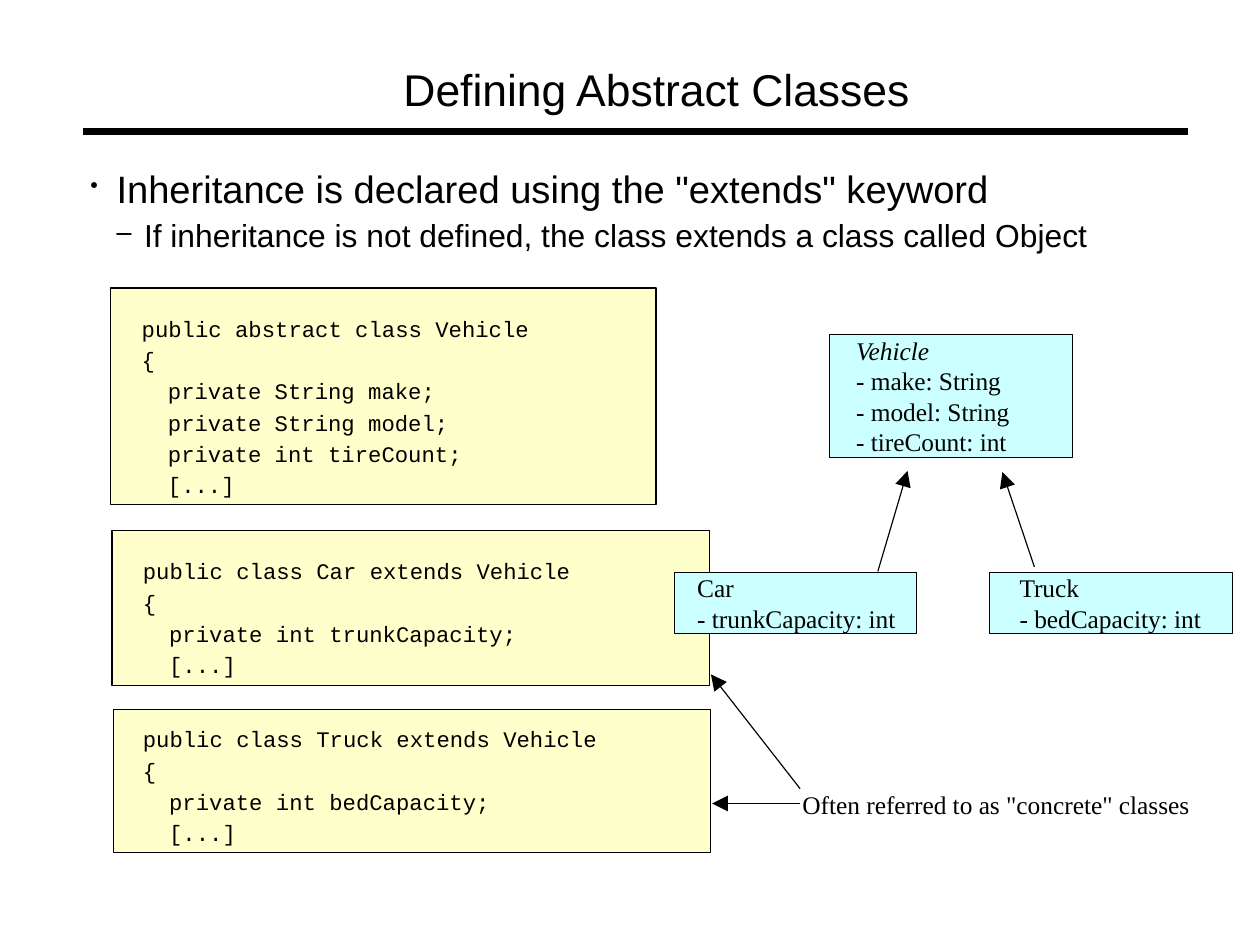
from dataclasses import dataclass

from lxml.etree import SubElement
from pptx import Presentation
from pptx.dml.color import RGBColor as RGB
from pptx.enum.shapes import MSO_CONNECTOR as CONN, MSO_SHAPE as SHAPE
from pptx.enum.text import MSO_ANCHOR as ANCHOR, PP_ALIGN as ALIGN
from pptx.oxml.ns import qn
from pptx.util import Inches, Pt

COLORS = {"ink": "000000", "code": "FFFFCC", "uml": "CCFFFF"}
SANS, MONO, SERIF = "Arial", "Courier New", "Times New Roman"
CM_PER_INCH = 2.54


@dataclass
class CodeBox:
    """A panel with a Java listing."""
    left: float
    top: float
    width: float
    height: float
    text_left: float
    text_top: float
    text_width: float
    lines: list[str]


@dataclass
class ClassBox:
    """A class in the diagram."""
    left: float
    top: float
    height: float
    inset: float
    lines: list[str]
    abstract: bool = False


@dataclass
class Line:
    """A straight line, with or without an arrowhead."""
    start: tuple[float, float]
    end: tuple[float, float]
    width: float = 0.75
    arrow: bool = True


@dataclass
class Bullet:
    """A bulleted sentence."""
    text: str
    mark: str
    percent: int
    size: int
    level: int
    margin: float
    hanging: float


CODE_BOXES = [
    CodeBox(0.97, 2.52, 4.77, 1.89, 1.24, 2.76, 3.84,
            ["public abstract class Vehicle", "{", "\tprivate String make;",
             "\tprivate String model;", "\tprivate int tireCount;", "\t[...]"]),
    CodeBox(0.98, 4.64, 5.23, 1.36, 1.25, 4.88, 4.41,
            ["public class Car extends Vehicle", "{",
             "\tprivate int trunkCapacity;", "\t[...]"]),
    CodeBox(0.99, 6.21, 5.23, 1.25, 1.25, 6.35, 4.41,
            ["public class Truck extends Vehicle", "{",
             "\tprivate int bedCapacity;", "\t[...]"]),
]
VEHICLE = ClassBox(7.26, 2.93, 1.07, 0.23,
                   ["Vehicle", "- make: String", "- model: String", "- tireCount: int"], True)
CAR = ClassBox(5.9, 5.01, 0.53, 0.2, ["Car", "- trunkCapacity: int"])
TRUCK = ClassBox(8.66, 5.01, 0.53, 0.26, ["Truck", "- bedCapacity: int"])
TITLE_RULE = Line((0.76, 1.15), (10.36, 1.15), 4.31, False)
ARROWS = [
    Line((7.68, 5), (7.94, 4.12)),
    Line((9.05, 4.96), (8.77, 4.13)),
    Line((7, 7.03), (6.23, 7.03)),
    Line((7, 6.9), (6.22, 5.9)),
]
BULLETS = [
    Bullet('Inheritance is declared using the "extends" keyword',
           "•", 59, 24, 0, 0.23, 0.23),
    Bullet("If inheritance is not defined, the class extends a class called Object",
           "–", 85, 20, 1, 0.47, 0.24),
]


def add_text(tf, text: str, *, font: str, size: float, italic: bool = False,
             first: bool = False, before: float = 0, margin: float = 0,
             hanging: float = 0, bullet: Bullet | None = None) -> None:
    """Add one formatted paragraph to a text frame."""
    p = tf.paragraphs[0] if first else tf.add_paragraph()
    pPr = p._p.get_or_add_pPr()
    if hanging:
        pPr.set("marL", str(Inches(margin)))
        pPr.set("indent", str(-Inches(hanging)))
    if bullet:
        p.level = bullet.level
        SubElement(SubElement(pPr, qn("a:buClr")), qn("a:srgbClr")).set("val", COLORS["ink"])
        SubElement(pPr, qn("a:buSzPct")).set("val", str(bullet.percent * 1000))
        SubElement(pPr, qn("a:buChar")).set("char", bullet.mark)
    p.alignment = ALIGN.LEFT
    if not first:
        p.space_before = Pt(before)
    r = p.add_run()
    r.text = text
    r.font.name, r.font.size, r.font.italic = font, Pt(size), italic
    r.font.color.rgb = RGB.from_string(COLORS["ink"])


def prepare_frame(sp, wrap: bool = True):
    """Clear the margins of a shape's text frame and return it."""
    tf = sp.text_frame
    tf.margin_left = tf.margin_top = tf.margin_right = tf.margin_bottom = 0
    tf.word_wrap = wrap
    return tf


def add_frame(s, left: float, top: float, width: float, height: float, wrap: bool = True):
    """Add a text box and return its text frame."""
    sp = s.shapes.add_textbox(Inches(left), Inches(top), Inches(width), Inches(height))
    return prepare_frame(sp, wrap)


def add_panel(s, left: float, top: float, width: float, height: float, fill: str):
    """Add a filled, outlined panel."""
    sp = s.shapes.add_shape(SHAPE.ROUNDED_RECTANGLE, Inches(left), Inches(top),
                            Inches(width), Inches(height))
    sp.adjustments[0] = 0
    sp.shadow.inherit = False
    sp.fill.solid()
    sp.fill.fore_color.rgb = RGB.from_string(COLORS[fill])
    sp.line.color.rgb = RGB.from_string(COLORS["ink"])
    sp.line.width = Pt(0.75)
    return sp


def add_code(s, box: CodeBox) -> None:
    """Draw a code panel and its listing."""
    add_panel(s, box.left, box.top, box.width, box.height, "code")
    tf = add_frame(s, box.text_left, box.text_top, box.text_width, len(box.lines) * 0.26)
    for i, line in enumerate(box.lines):
        add_text(tf, line, font=MONO, size=14, first=i == 0, before=2.8,
                 margin=0.23, hanging=0.23)


def add_class(s, box: ClassBox) -> None:
    """Draw a class of the diagram."""
    tf = prepare_frame(add_panel(s, box.left, box.top, 2.12, box.height, "uml"))
    tf.margin_left = Inches(box.inset)
    tf.vertical_anchor = ANCHOR.MIDDLE
    for i, line in enumerate(box.lines):
        add_text(tf, line, font=SERIF, size=16, first=i == 0,
                 italic=box.abstract and i == 0)


def add_line(s, line: Line) -> None:
    """Draw a line or arrow."""
    c = s.shapes.add_connector(CONN.STRAIGHT, *map(Inches, line.start + line.end))
    c.line.color.rgb = RGB.from_string(COLORS["ink"])
    c.line.width = Pt(line.width)
    ln = c.line._get_or_add_ln()
    if line.arrow:
        tail = SubElement(ln, qn("a:tailEnd"))
        for key, value in (("type", "triangle"), ("w", "lg"), ("len", "lg")):
            tail.set(key, value)
    else:
        ln.set("cap", "sq")
    SubElement(c._element.spPr, qn("a:effectLst"))


def main() -> None:
    """Build and save the slide."""
    prs = Presentation()
    prs.slide_width = Inches(28 / CM_PER_INCH)
    prs.slide_height = Inches(21 / CM_PER_INCH)
    s = prs.slides.add_slide(prs.slide_layouts[6])
    add_line(s, TITLE_RULE)
    add_text(add_frame(s, 3.53, 0.54, 4.58, 0.47), "Defining Abstract Classes",
             font=SANS, size=28, first=True)
    tf = add_frame(s, 0.79, 1.45, 9.37, 1.14)
    for b in BULLETS:
        add_text(tf, b.text, font=SANS, size=b.size, first=b.level == 0, before=2.8,
                 margin=b.margin, hanging=b.hanging, bullet=b)
    for code_box in CODE_BOXES:
        add_code(s, code_box)
    for class_box in (VEHICLE, CAR, TRUCK):
        add_class(s, class_box)
    add_text(add_frame(s, 7.02, 6.9, 3.39, 0.27, wrap=False),
             'Often referred to as "concrete" classes', font=SERIF, size=16, first=True)
    for arrow in ARROWS:
        add_line(s, arrow)
    prs.save("out.pptx")


if __name__ == "__main__":
    main()
